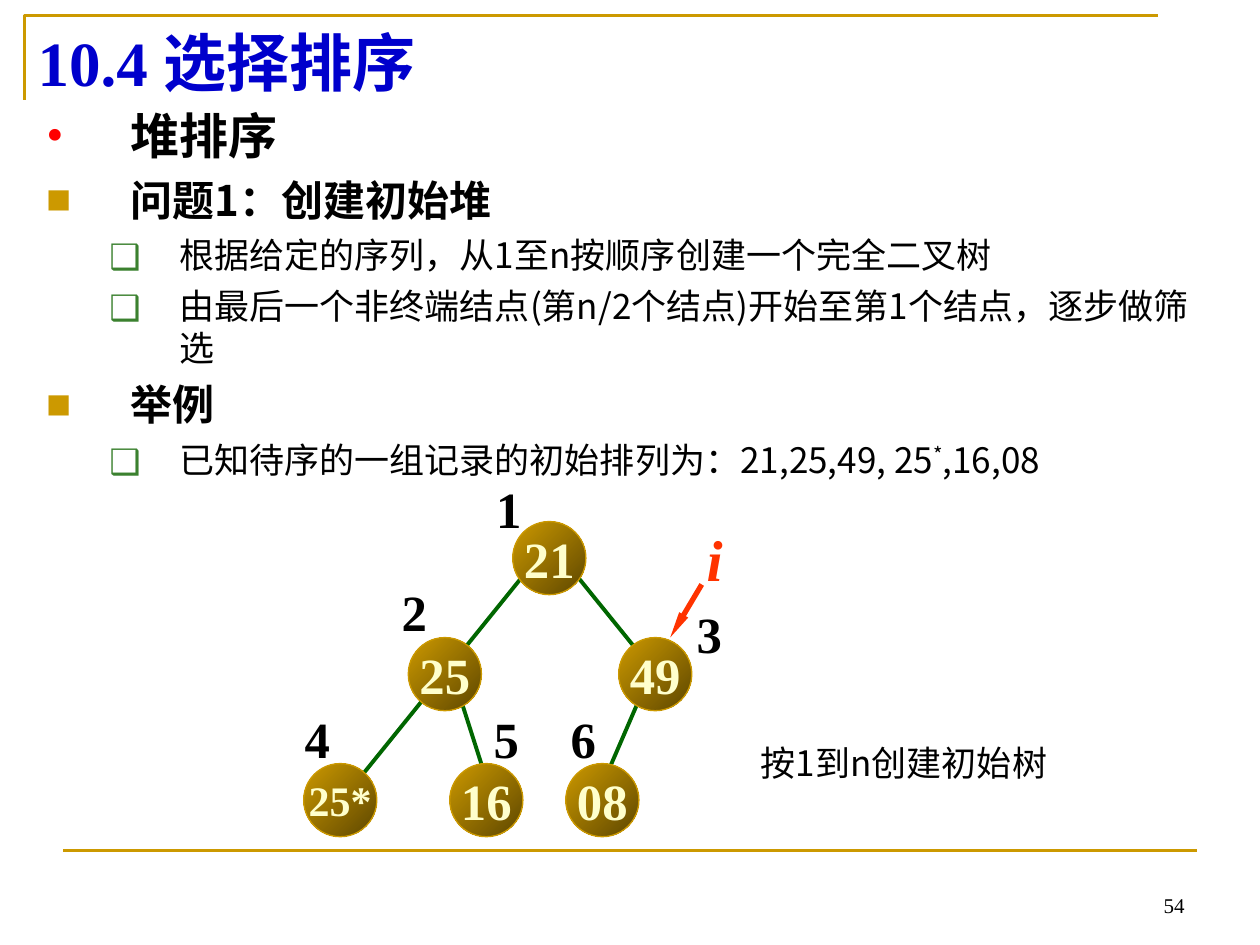
from lxml.etree import SubElement
from pptx import Presentation
from pptx.dml.color import RGBColor
from pptx.enum.shapes import MSO_CONNECTOR as Link, MSO_SHAPE as Shape
from pptx.enum.text import MSO_ANCHOR as Anchor, PP_ALIGN as Align
from pptx.oxml.ns import qn
from pptx.util import Pt

SERIF, SANS = "Times New Roman", "Noto Sans CJK SC"
GOLD, GREEN, RED, BLACK = "CC9900", "006600", "FF3300", "000000"

# level: (left margin, hanging indent, bullet, bullet colour, bullet font, bullet size %)
HEADING = (48, 48, "•", "FF0000", SERIF, 100)
TOPIC = (48, 48, "■", GOLD, SANS, 60)
DETAIL = (76, 40, "❑", "3B812F", SANS, 100)

# (level, size, bold, space before, runs as (text, baseline %))
OUTLINE = [
    (HEADING, 28, True, 0, [("堆排序", 0)]),
    (TOPIC, 24, True, 6, [("问题1：创建初始堆", 0)]),
    (DETAIL, 20, False, 5, [("根据给定的序列，从1至n按顺序创建一个完全二叉树", 0)]),
    (DETAIL, 20, False, 5,
     [("由最后一个非终端结点(第n/2个结点)开始至第1个结点，逐步做筛选", 0)]),
    (TOPIC, 24, True, 6, [("举例", 0)]),
    (DETAIL, 20, False, 5,
     [("已知待序的一组记录的初始排列为：21,25,49, 25", 0), ("*", 30), (",16,08", 0)]),
]

# Tree positions are relative to the tree's top left corner.
NODE_SIZE = 41.8
NODES = [("21", 29, 127, 30), ("25", 29, 67.3, 96.3), ("25*", 24, 7.5, 168.3),
         ("49", 29, 187.5, 96.3), ("16", 29, 91, 168.3), ("08", 29, 157.3, 168.3)]
EDGES = [(199, 132.3, 181, 174), (97.5, 132.3, 109, 168.3),
         (163, 60.3, 211.3, 120), (133.5, 60.3, 37, 179.8)]
INDEXES = [("1", 110.5, 1.3), ("2", 56.5, 60.3), ("3", 225, 72.6),
           ("4", 1, 133), ("5", 109, 133), ("6", 153, 133)]


def color(value):
    return RGBColor.from_string(value)


def add_run(para, text, size, hue, font=SERIF, bold=False, italic=False):
    """Add a run whose East Asian letters are always sans."""
    span = para.add_run()
    span.text = text
    span.font.size = Pt(size)
    span.font.name = font
    span.font.bold = bold
    span.font.italic = italic
    span.font.color.rgb = color(hue)
    SubElement(span._r.get_or_add_rPr(), qn("a:ea"), typeface=SANS)
    return span


def add_box(page, left, top, width, height, anchor=Anchor.TOP, wrap=True):
    """Add an empty text box and return its text frame."""
    frame = page.shapes.add_textbox(Pt(left), Pt(top), Pt(width), Pt(height)).text_frame
    frame.word_wrap = wrap
    frame.vertical_anchor = anchor
    return frame


def add_line(page, x1, y1, x2, y2, hue, weight):
    line = page.shapes.add_connector(Link.STRAIGHT, Pt(x1), Pt(y1), Pt(x2), Pt(y2))
    line.line.color.rgb = color(hue)
    line.line.width = Pt(weight)
    SubElement(line._element.spPr, qn("a:effectLst"))
    return line


def add_frame(page, left, top, width, height):
    """Draw the corner rule around the title and the rule above the footer."""
    builder = page.shapes.build_freeform(left, top + height, scale=Pt(1))
    builder.add_line_segments([(left, top), (left + width, top)], close=False)
    corner = builder.convert_to_shape()
    corner.shadow.inherit = False
    corner.fill.background()
    corner.line.color.rgb = color(GOLD)
    corner.line.width = Pt(1.5)
    add_line(page, 36, 486, 684, 486, GOLD, 1.5)


def add_title(page, left, top, width, height):
    frame = add_box(page, left, top, width, height, Anchor.MIDDLE)
    add_run(frame.paragraphs[0], "10.4 选择排序", 36, "0000CC", bold=True)


def add_page_number(page, left, top, width, height):
    para = add_box(page, left, top, width, height, Anchor.BOTTOM).paragraphs[0]
    para.alignment = Align.RIGHT
    add_run(para, "54", 12, BLACK)


def set_bullet(para, margin, hanging, mark, hue, font, percent):
    props = para._p.get_or_add_pPr()
    props.set("marL", str(Pt(margin)))
    props.set("indent", str(-Pt(hanging)))
    SubElement(SubElement(props, qn("a:buClr")), qn("a:srgbClr"), val=hue)
    SubElement(props, qn("a:buSzPct"), val=str(percent * 1000))
    SubElement(props, qn("a:buFont"), typeface=font)
    SubElement(props, qn("a:buChar"), char=mark)


def add_outline(page, left, top, width, height):
    frame = add_box(page, left, top, width, height)
    for number, (level, size, bold, before, runs) in enumerate(OUTLINE):
        para = frame.add_paragraph() if number else frame.paragraphs[0]
        set_bullet(para, *level)
        para.space_before = Pt(before)
        para.line_spacing = Pt(size * 1.2)
        for text, baseline in runs:
            span = add_run(para, text, size, BLACK, SANS, bold)
            if baseline:
                span._r.get_or_add_rPr().set("baseline", str(baseline * 1000))


def add_node(page, text, size, left, top):
    node = page.shapes.add_shape(Shape.OVAL, Pt(left), Pt(top), Pt(NODE_SIZE), Pt(NODE_SIZE))
    node.shadow.inherit = False
    node.fill.gradient()
    node.fill.gradient_angle = 315
    for stop, position, hue in zip(node.fill.gradient_stops, (0, 1), (GOLD, "5E4700")):
        stop.position = position
        stop.color.rgb = color(hue)
    node.line.color.rgb = color(GOLD)
    node.line.width = Pt(0.75)
    frame = node.text_frame
    frame.word_wrap = False
    frame.vertical_anchor = Anchor.MIDDLE
    frame.paragraphs[0].alignment = Align.CENTER
    add_run(frame.paragraphs[0], text, size, "FFFFCC", bold=True)


def add_tree(page, left, top):
    for x1, y1, x2, y2 in EDGES:
        add_line(page, left + x1, top + y1, left + x2, top + y2, GREEN, 2.25)
    for text, size, x, y in NODES:
        add_node(page, text, size, left + x, top + y)
    for text, x, y in INDEXES:
        frame = add_box(page, left + x, top + y, 28.8, 41.8, wrap=False)
        add_run(frame.paragraphs[0], text, 29, BLACK, bold=True)

    pointer = add_line(page, left + 235, top + 66, left + 217, top + 96.3, RED, 3)
    SubElement(pointer.line._get_or_add_ln(), qn("a:tailEnd"),
               type="triangle", w="sm", len="lg")
    frame = add_box(page, left + 230.7, top + 28, 23.8, 46.8, wrap=False)
    add_run(frame.paragraphs[0], "i", 33, RED, bold=True, italic=True)


def add_note(page, left, top, width, height):
    para = add_box(page, left, top, width, height).paragraphs[0]
    para.line_spacing = Pt(24)
    add_run(para, "按1到n创建初始树", 20, BLACK, SANS)


def main():
    deck = Presentation()
    deck.slide_width, deck.slide_height = Pt(720), Pt(540)
    page = deck.slides.add_slide(deck.slide_layouts[6])
    add_frame(page, 14.4, 9.4, 648, 48)
    add_page_number(page, 516, 492, 168, 36)
    add_title(page, 14.4, 9.4, 648, 51)
    add_outline(page, 19.4, 56.6, 669, 335)
    add_tree(page, 166, 268)
    add_note(page, 427.7, 420, 193, 55.4)
    deck.save("out.pptx")


if __name__ == "__main__":
    main()
